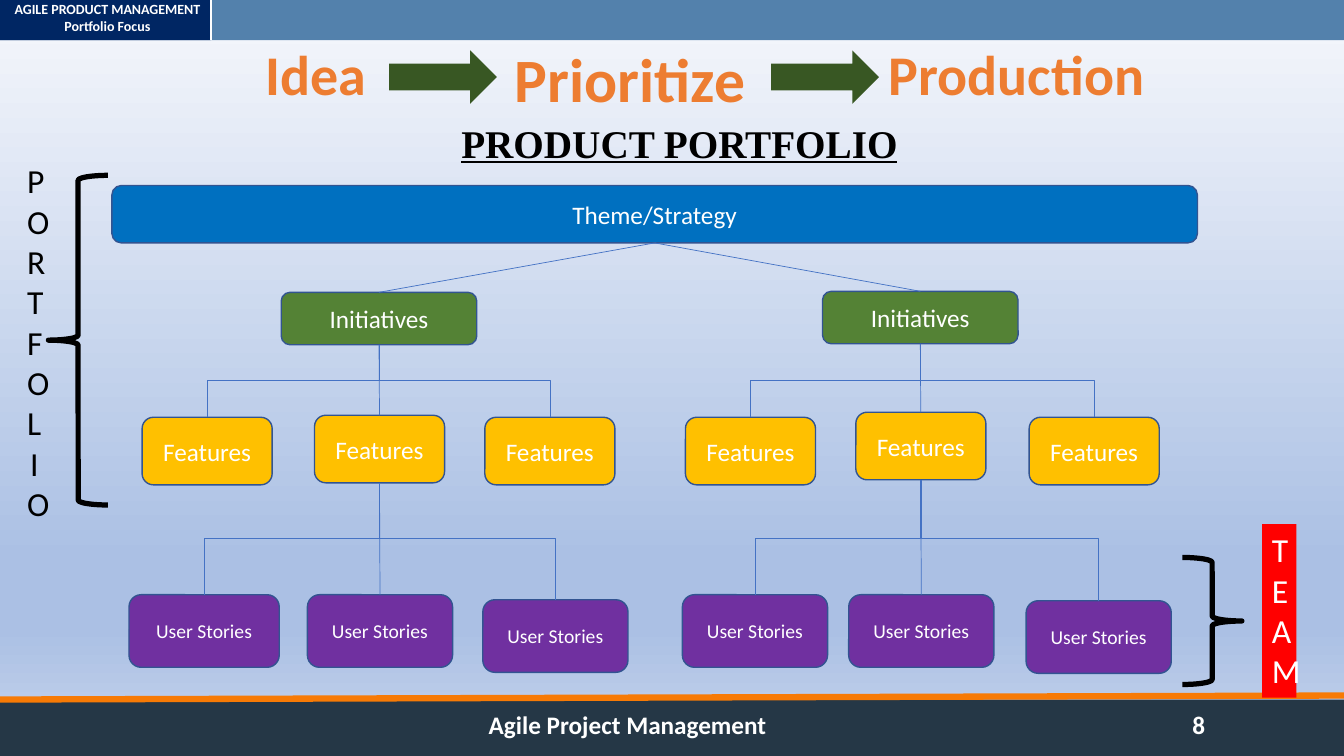
from dataclasses import dataclass
from lxml import etree
from pptx import Presentation
from pptx.dml.color import RGBColor
from pptx.enum.shapes import MSO_CONNECTOR, MSO_SHAPE
from pptx.enum.text import MSO_ANCHOR, PP_ALIGN
from pptx.oxml.ns import qn
from pptx.util import Inches, Pt

RECT, ROUND = MSO_SHAPE.RECTANGLE, MSO_SHAPE.ROUNDED_RECTANGLE
ARROW, BRACE = MSO_SHAPE.RIGHT_ARROW, MSO_SHAPE.LEFT_BRACE
STRAIGHT, ELBOW = MSO_CONNECTOR.STRAIGHT, MSO_CONNECTOR.ELBOW
TOP, MIDDLE = MSO_ANCHOR.TOP, MSO_ANCHOR.MIDDLE
LEFT, CENTER = PP_ALIGN.LEFT, PP_ALIGN.CENTER
COLS, ROWS = 133.33, 75
BASE, CROWN = 2, 0


@dataclass(frozen=True)
class Theme:
    sans: str = "Calibri"
    serif: str = "Times New Roman"
    white: str = "FFFFFF"
    black: str = "000000"
    navy: str = "002663"
    steel: str = "5381AC"
    slate: str = "253746"
    orange: str = "F77A05"
    flow: str = "ED7D31"
    arrow: str = "385723"
    edge: str = "325491"
    link: str = "4472C4"
    theme: str = "0070C0"
    goal: str = "548235"
    feature: str = "FFC000"
    story: str = "7030A0"
    team: str = "FF0000"
    sky: tuple = ((0, "F6F8FC"), (74, "ABC0E4"), (83, "ABC0E4"), (100, "C7D5ED"))
    tiny: int = 10
    small: int = 14
    body: int = 18
    tall: int = 24
    title: int = 28
    step: int = 40
    focus: int = 44


T = Theme()

BRANCHES = (
    ((27.9, 29), ((14.1, 41.4), (31.2, 41.2), (48.1, 41.4)),
     ((12.8, 59, 14.9), (30.5, 59, 14.4), (47.9, 59.5, 14.4))),
    ((81.6, 28.9), ((68, 41.4), (84.9, 40.9), (102.1, 41.4)),
     ((67.7, 59, 14.4), (84.2, 59, 14.4), (101.8, 59.6, 14.4))),
)


def grid(*cells):
    return [Inches(cell / 10) for cell in cells]


def tint(code):
    return RGBColor.from_string(code)


def write(shape, text, size, color, align=CENTER, anchor=TOP, font=T.sans,
          bold=False, under=False, tight=False, tabs=()):
    frame = shape.text_frame
    frame.word_wrap = True
    frame.vertical_anchor = anchor
    para = frame.paragraphs[0]
    para.text = text
    para.alignment = align
    if tight:
        para.line_spacing = 0.9
    if tabs:
        stops = etree.SubElement(para._p.get_or_add_pPr(), qn("a:tabLst"))
        for stop in grid(*tabs):
            etree.SubElement(stops, qn("a:tab"), pos=str(stop), algn="l")
    para.font.name, para.font.size = font, Pt(size)
    para.font.color.rgb = tint(color)
    para.font.bold, para.font.underline = bold, under
    return frame


def label(slide, box, text, size, color, **style):
    return write(slide.shapes.add_textbox(*grid(*box)), text, size, color, **style)


def block(slide, kind, box, fill=None, line=None, width=1):
    shape = slide.shapes.add_shape(kind, *grid(*box))
    shape.shadow.inherit = False
    if fill:
        shape.fill.solid()
        shape.fill.fore_color.rgb = tint(fill)
    else:
        shape.fill.background()
    if line:
        shape.line.color.rgb = tint(line)
        shape.line.width = Pt(width)
    else:
        shape.line.fill.background()
    return shape


def node(slide, box, text, fill, size=T.body):
    shape = block(slide, ROUND, box, fill, T.edge)
    write(shape, text, size, T.white, anchor=MIDDLE)
    return shape


def rule(slide, ends, color, width, kind=STRAIGHT):
    line = slide.shapes.add_connector(kind, *ends)
    line.line.color.rgb = tint(color)
    line.line.width = Pt(width)
    etree.SubElement(line._element.spPr, qn("a:effectLst"))
    return line


def join(slide, top, low, bend=None):
    x, y = top.left + top.width // 2, top.top + top.height
    end, drop = low.left + low.width // 2, low.top - y
    span = abs(end - x)
    elbow = bend is not None and span > Inches(0.1)
    line = rule(slide, (x, y, end, low.top), T.link, 0.5, ELBOW if elbow else STRAIGHT)
    line.begin_connect(top, BASE)
    line.end_connect(low, CROWN)
    if elbow:
        line.left, line.top = (x + end - drop) // 2, (y + low.top - span) // 2
        line.width, line.height = drop, span
        form = line._element.spPr.find(qn("a:xfrm"))
        form.set("rot", "5400000" if end < x else "16200000")
        form.set("flipH", "0" if end < x else "1")
        share = round((grid(bend)[0] - y) / drop * 100000)
        guides = next(line._element.iter(qn("a:avLst")))
        etree.SubElement(guides, qn("a:gd"), name="adj1", fmla=f"val {share}")


def paint(slide):
    fill = slide.background.fill
    fill.gradient()
    fill.gradient_angle = 270
    stops = next(slide.element.iter(qn("a:gsLst")))
    stops.clear()
    for share, code in T.sky:
        stop = etree.SubElement(stops, qn("a:gs"), pos=str(share * 1000))
        etree.SubElement(stop, qn("a:srgbClr"), val=code)


def bands(slide):
    block(slide, RECT, (0, 69.4, COLS, 5.6), T.slate)
    rule(slide, grid(0, 69.4, COLS, 69), T.orange, 4.5)
    label(slide, (27.5, 69.9, 103.1, 4), "\tAgile Project Management\t8", T.body,
          T.white, align=LEFT, bold=True, tabs=(20, 89.8))
    block(slide, RECT, (0, 0, COLS, 4), T.steel)
    block(slide, RECT, (0, 0, 20.9, 4), T.navy)
    frame = label(slide, (1.2, 0.1, 18.9, 3.4),
                  "AGILE PRODUCT MANAGEMENT\nPortfolio Focus", T.tiny, T.white, bold=True)
    frame.margin_left = frame.margin_right = frame.margin_top = frame.margin_bottom = 0
    rule(slide, grid(20.9, 0, 20.9, 4), T.white, 1.5)


def steps(slide):
    for text, box, size, anchor in (
            ("Idea", (25.4, 1.1, 19.3, 13.2), T.step, MIDDLE),
            ("Prioritize", (50.1, 4.4, 27.1, 6.7), T.focus, TOP),
            ("Production", (87.2, 1.1, 32.8, 13.2), T.step, MIDDLE)):
        label(slide, box, text, size, T.flow, align=LEFT, anchor=anchor,
              bold=True, tight=True)
    for col in (38.6, 76.5):
        block(slide, ARROW, (col, 5, 10.7, 5.3), T.arrow)
    label(slide, (27, 11.3, 80.8, 5.7), "PRODUCT PORTFOLIO", T.title, T.black,
          font=T.serif, bold=True, under=True)


def tree(slide):
    root = node(slide, (11.1, 18.4, 107.7, 5.7), "Theme/Strategy", T.theme)
    for spot, parts, tales in BRANCHES:
        goal = node(slide, (*spot, 19.4, 5.2), "Initiatives", T.goal)
        join(slide, root, goal)
        traits = [node(slide, (*part, 12.9, 6.7), "Features", T.feature) for part in parts]
        for trait in traits:
            join(slide, goal, trait, 37.7)
        for col, row, wide in tales:
            story = node(slide, (col, row, wide, 7.2), "User Stories", T.story, T.small)
            join(slide, traits[1], story, 53.4)


def sides(slide):
    block(slide, BRACE, (4.8, 17.4, 5.9, 32.7), line=T.black, width=3.75)
    label(slide, (1.7, 15.4, 3.4, 37.4), "PORTFOLIO", T.tall, T.black)
    brace = block(slide, BRACE, (117.3, 55.3, 5.9, 12.6), line=T.black, width=3.75)
    brace.rotation = 180
    write(block(slide, RECT, (125.2, 52, 3.4, 17.2), T.team), "TEAM", T.tall, T.white)


def main():
    deck = Presentation()
    deck.slide_width, deck.slide_height = grid(COLS, ROWS)
    slide = deck.slides.add_slide(deck.slide_layouts[6])
    paint(slide)
    bands(slide)
    steps(slide)
    tree(slide)
    sides(slide)
    deck.save("out.pptx")


if __name__ == "__main__":
    main()
